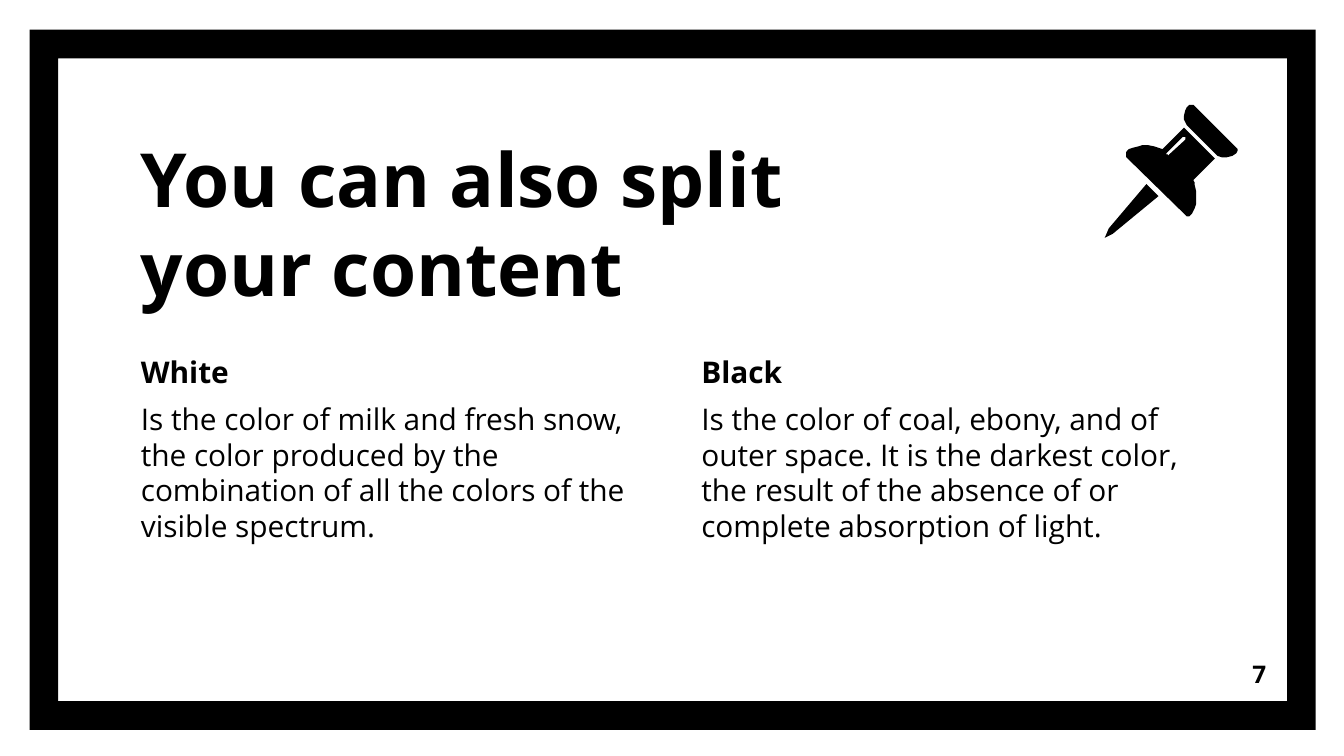
from pptx import Presentation
from pptx.dml.color import RGBColor
from pptx.enum import shapes, text
from pptx.util import Inches, Pt

BLACK = RGBColor(0x00, 0x00, 0x00)
WHITE = RGBColor(0xFF, 0xFF, 0xFF)
FONT = "Open Sans"

# Pushpin outlines, in hundredths of an inch from the corner of the pin's box
NEEDLE = [[(31, 59), (3, 92), (0, 99), (6, 96), (40, 68)]]
CAP = [[(64, 0), (63, 0), (61, 2), (60, 4), (59, 8), (59, 11), (60, 13),
        (61, 15), (84, 38), (87, 39), (91, 39), (95, 38), (98, 36),
        (99, 34), (99, 33), (98, 32), (67, 1), (66, 0)]]
BODY = [
    # Highlight slot
    [(59, 24), (60, 24), (60, 26), (48, 37), (48, 38), (47, 37),
     (46, 37), (46, 36), (58, 24)],
    # Grip and collar
    [(59, 17), (43, 33), (40, 32), (37, 31), (32, 30), (28, 30), (25, 31),
     (21, 32), (18, 33), (16, 35), (16, 38), (16, 39), (60, 82), (61, 83),
     (63, 83), (65, 81), (67, 77), (68, 74), (68, 69), (68, 64), (67, 60),
     (67, 58), (66, 56), (82, 40)],
]


def paint_black(shape):
    shape.shadow.inherit = False
    shape.fill.solid()
    shape.fill.fore_color.rgb = BLACK
    shape.line.fill.background()


def add_frame(slide, left, top, width, height):
    border = slide.shapes.add_shape(
        shapes.MSO_SHAPE.FRAME,
        Inches(left), Inches(top), Inches(width), Inches(height))
    border.adjustments[0] = 0.041
    paint_black(border)


def add_text(slide, left, top, width, height, lines,
             anchor=text.MSO_ANCHOR.TOP, align=text.PP_ALIGN.LEFT, before=0):
    """Place a text box; lines holds (wording, size, bold) for each paragraph."""
    frame = slide.shapes.add_textbox(
        Inches(left), Inches(top), Inches(width), Inches(height)).text_frame
    frame.word_wrap = True
    frame.vertical_anchor = anchor
    frame.margin_left = frame.margin_right = Inches(0.1)
    frame.margin_top = frame.margin_bottom = Inches(0.1)
    for index, (wording, size, bold) in enumerate(lines):
        paragraph = frame.add_paragraph() if index else frame.paragraphs[0]
        paragraph.text = wording
        paragraph.alignment = align
        paragraph.space_before = Pt(before)
        paragraph.font.name = FONT
        paragraph.font.size = Pt(size)
        paragraph.font.bold = bold
        paragraph.font.color.rgb = BLACK


def add_columns(slide, left, top, width, height, gap, columns):
    for index, (heading, description) in enumerate(columns):
        add_text(slide, left + index * (width + gap), top, width, height,
                 [(heading, 16, True), (description, 16, False)], before=6)


def add_pushpin(slide, left, top):
    pin = slide.shapes.add_group_shape()
    for contours in (NEEDLE, CAP, BODY):
        builder = pin.shapes.build_freeform(*contours[0][0], scale=Inches(0.01))
        for index, contour in enumerate(contours):
            if index:
                builder.move_to(*contour[0])
            builder.add_line_segments(contour[1:], close=True)
        paint_black(builder.convert_to_shape(Inches(left), Inches(top)))


def build_split_slide(deck):
    slide = deck.slides.add_slide(deck.slide_layouts[6])
    slide.background.fill.solid()
    slide.background.fill.fore_color.rgb = WHITE

    add_frame(slide, 0.22, 0.22, 9.57, 5.21)

    # Title
    add_text(slide, 0.95, 0.93, 5.57, 1.49,
             [("You can also split your content", 40, True)],
             anchor=text.MSO_ANCHOR.BOTTOM)

    # Two columns of content
    add_columns(slide, 0.95, 2.53, 3.93, 2.33, 0.24, [
        ("White", "Is the color of milk and fresh snow, the color produced by "
                  "the combination of all the colors of the visible spectrum."),
        ("Black", "Is the color of coal, ebony, and of outer space. It is the "
                  "darkest color, the result of the absence of or complete "
                  "absorption of light."),
    ])

    add_pushpin(slide, 8.22, 0.78)

    # Slide number
    add_text(slide, 8.92, 4.8, 0.6, 0.43, [("7", 13, True)],
             anchor=text.MSO_ANCHOR.MIDDLE, align=text.PP_ALIGN.RIGHT)


def main():
    deck = Presentation()
    # Widescreen, 16:9
    deck.slide_width = Inches(10)
    deck.slide_height = Inches(10) * 9 // 16
    build_split_slide(deck)
    deck.save("out.pptx")


if __name__ == "__main__":
    main()
